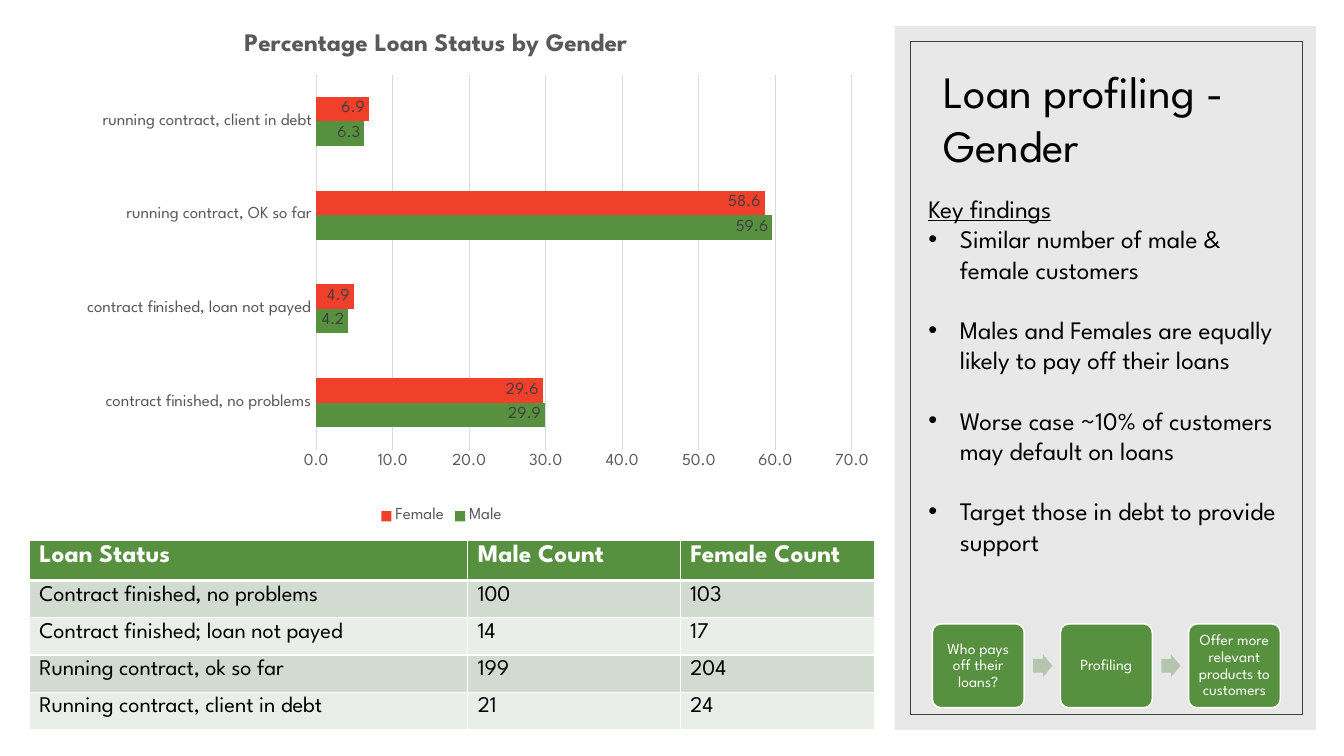
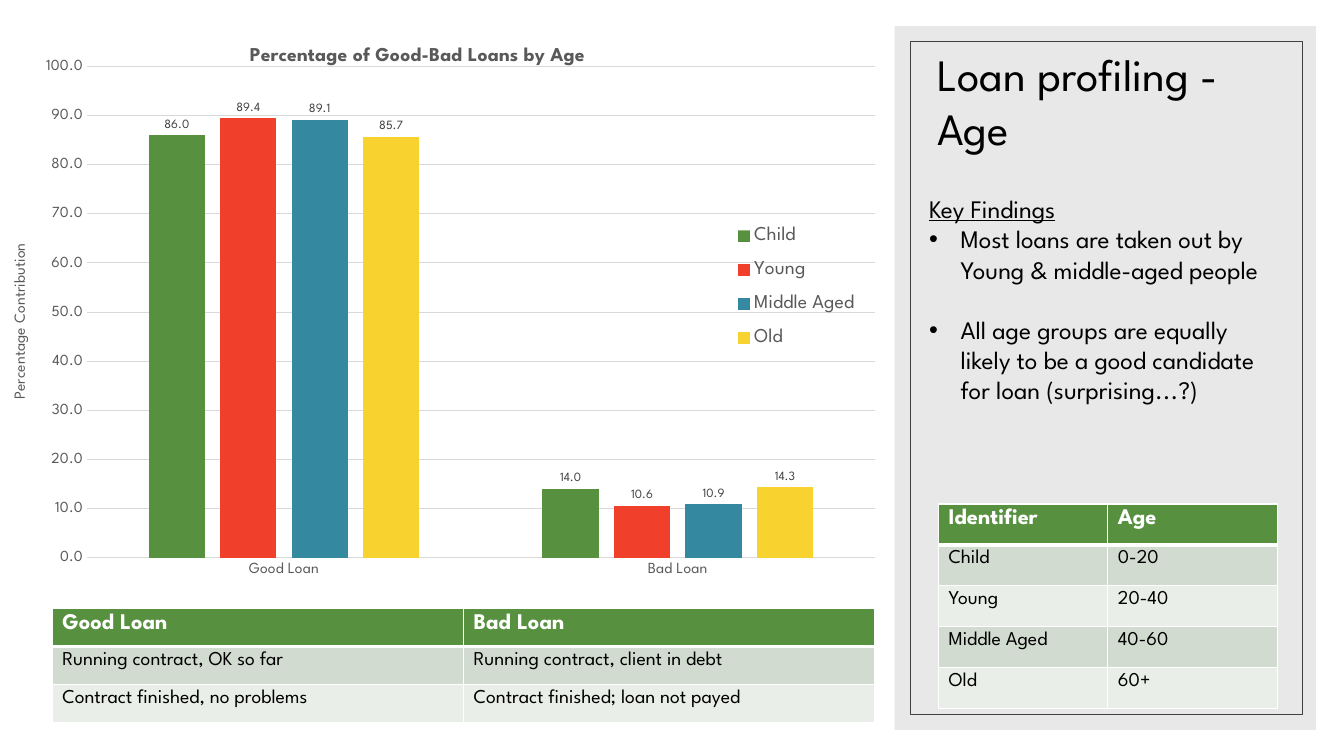
"""Build two loan profiling slides, by gender and by age."""
import pptx
import pptx.chart.data
import pptx.dml.color
import pptx.enum.chart
import pptx.enum.shapes
import pptx.enum.text
import pptx.oxml
import pptx.oxml.ns
import pptx.util
from lxml import etree

Pt = pptx.util.Pt
qn = pptx.oxml.ns.qn
CHART = pptx.enum.chart
SHAPE = pptx.enum.shapes.MSO_SHAPE
ANCHOR = pptx.enum.text.MSO_ANCHOR

FONT = "League Spartan"
COLOURS = {
    "green": "57903F", "red": "F03F2B", "blue": "3488A0", "yellow": "F8D22F",
    "pale green": "B4C6B0", "dark band": "D1DBCF", "light band": "EAEEE8",
    "panel": "D9D9D9", "frame": "404040", "label": "404040", "axis": "595959",
    "grid": "D9D9D9", "black": "000000", "white": "FFFFFF",
}
PANEL = (639, 18.7, 301, 502.6)
FRAME = (650.2, 29.5, 280.1, 481)

SLIDES = [
    {
        "title": ("Loan profiling - Gender", (666.7, 47.5, 247.7, 78.5)),
        "heading": "Key findings",
        "findings_box": (656, 134.6, 275, 334),
        "findings": [
            "Similar number of male & female customers",
            "Males and Females are equally likely to pay off their loans",
            "Worse case ~10% of customers may default on loans",
            "Target those in debt to provide support",
        ],
        "chart": {
            "kind": CHART.XL_CHART_TYPE.BAR_CLUSTERED,
            "box": (2.2, 3.6, 626.4, 373.7),
            "title": ("Percentage Loan Status by Gender", 18, (0.27, 0.04)),
            "categories": ["contract finished, no problems", "contract finished, loan not payed",
                           "running contract, OK so far", "running contract, client in debt"],
            "series": [("Male", "green", (29.9, 4.2, 59.6, 6.3)),
                       ("Female", "red", (29.6, 4.9, 58.6, 6.9))],
            "plot": (0.357, 0.133, 0.611, 0.717),
            "spacing": {"gap_width": 182, "overlap": 0},
            "scale_max": 70,
            "axis_size": 12,
            "labels": (12, CHART.XL_LABEL_POSITION.INSIDE_END),
            "legend": (12, CHART.XL_LEGEND_POSITION.BOTTOM, None),
        },
        "tables": [
            {
                "corner": (20.9, 385.9), "columns": (313.2, 151.9, 139),
                "heights": (28, 26.6), "sizes": (18, 16),
                "rows": [
                    ("Loan Status", "Male Count", "Female Count"),
                    ("Contract finished, no problems", "100", "103"),
                    ("Contract finished; loan not payed", "14", "17"),
                    ("Running contract, ok so far", "199", "204"),
                    ("Running contract, client in debt", "21", "24"),
                ],
            },
        ],
        "steps": ["Who pays off their loans?", "Profiling",
                  "Offer more relevant products to customers"],
    },
    {
        "title": ("Loan profiling - Age", (662.4, 41, 247.7, 72.7)),
        "heading": "Key Findings",
        "findings_box": (656.6, 134.6, 266.4, 203.8),
        "findings": [
            "Most loans are taken out by Young & middle-aged people",
            "All age groups are equally likely to be a good candidate for loan (surprising...?)",
        ],
        "chart": {
            "kind": CHART.XL_CHART_TYPE.COLUMN_CLUSTERED,
            "box": (0, 21.6, 628.6, 416.9),
            "title": ("Percentage of Good-Bad Loans by Age", 14, (0.28, 0.02)),
            "categories": ["Good Loan", "Bad Loan"],
            "series": [("Child", "green", (86, 14)), ("Young", "red", (89.4, 10.6)),
                       ("Middle Aged", "blue", (89.1, 10.9)), ("Old", "yellow", (85.7, 14.3))],
            "plot": (0.099, 0.062, 0.895, 0.842),
            "spacing": {"gap_width": 219, "overlap": -27},
            "scale_max": 100,
            "axis_size": 11,
            "axis_title": ("Percentage Contribution", (0.01, 0.36)),
            "labels": (9, CHART.XL_LABEL_POSITION.OUTSIDE_END),
            "legend": (14, CHART.XL_LEGEND_POSITION.RIGHT, (0.83, 0.31, 0.15, 0.26)),
        },
        "tables": [
            {
                "corner": (37.4, 434.9), "columns": (293.8, 293.8),
                "heights": (27, 27), "sizes": (16, 14),
                "rows": [
                    ("Good Loan", "Bad Loan"),
                    ("Running contract, OK so far", "Running contract, client in debt"),
                    ("Contract finished, no problems", "Contract finished; loan not payed"),
                ],
            },
            {
                "corner": (670.3, 360), "columns": (121, 121),
                "heights": (29.2, 29.2), "sizes": (16, 14),
                "rows": [("Identifier", "Age"), ("Child", "0-20"), ("Young", "20-40"),
                         ("Middle Aged", "40-60"), ("Old", "60+")],
            },
        ],
        "steps": [],
    },
]


def rgb(colour):
    return pptx.dml.color.RGBColor.from_string(COLOURS[colour])


def points(box):
    return [Pt(length) for length in box]


def assign(target, values):
    for name, value in values.items():
        setattr(target, name, value)


def style(font, size, colour, **extras):
    assign(font, {"name": FONT, "size": Pt(size), **extras})
    font.color.rgb = rgb(colour)


def paint(fill, colour):
    fill.solid()
    fill.fore_color.rgb = rgb(colour)


def add_block(slide, preset, box, fill=None, line=None, weight=1):
    block = slide.shapes.add_shape(preset, *points(box))
    block.shadow.inherit = False
    for part, colour in ((block.fill, fill), (block.line.fill, line)):
        if colour:
            paint(part, colour)
        else:
            part.background()
    if line:
        block.line.width = Pt(weight)
    return block


def add_sidebar(slide):
    panel = add_block(slide, SHAPE.RECTANGLE, PANEL, "panel")
    tint = next(panel.fill._xPr.iter(qn("a:srgbClr")))
    etree.SubElement(tint, qn("a:alpha"), val="60000")
    add_block(slide, SHAPE.RECTANGLE, FRAME, line="frame", weight=0.5)


def add_text(slide, box, anchor):
    frame = slide.shapes.add_textbox(*points(box)).text_frame
    assign(frame, {"word_wrap": True, "vertical_anchor": anchor})
    return frame


def add_title(slide, text, box):
    run = add_text(slide, box, ANCHOR.BOTTOM).paragraphs[0].add_run()
    run.text = text
    style(run.font, 32, "black")


def add_findings(slide, heading, findings, box):
    frame = add_text(slide, box, ANCHOR.TOP)
    for index, text in enumerate([heading, *findings]):
        paragraph = frame.add_paragraph() if index else frame.paragraphs[0]
        run = paragraph.add_run()
        run.text = text
        style(run.font, 18, "black", underline=index == 0)
        if index:
            paragraph.space_after = Pt(21.6)
            properties = paragraph._p.get_or_add_pPr()
            properties.set("marL", str(Pt(22.5)))
            properties.set("indent", str(-Pt(22.5)))
            etree.SubElement(properties, qn("a:buFont"), typeface="Arial")
            etree.SubElement(properties, qn("a:buChar"), char="•")


def place(element, index, position, inner=False):
    for old in element.findall(qn("c:layout")):
        element.remove(old)
    layout = element.makeelement(qn("c:layout"))
    element.insert(index, layout)
    manual = etree.SubElement(layout, qn("c:manualLayout"))
    if inner:
        etree.SubElement(manual, qn("c:layoutTarget"), val="inner")
    for mode in ("xMode", "yMode"):
        etree.SubElement(manual, qn(f"c:{mode}"), val="edge")
    for name, value in zip("xywh", position):
        etree.SubElement(manual, qn(f"c:{name}"), val=str(value))


def add_heading(heading, text, size, position, bold):
    run = heading.text_frame.paragraphs[0].add_run()
    run.text = text
    style(run.font, size, "axis", bold=bold)
    place(heading._element, 1, position)


def add_loan_chart(slide, facts):
    data = pptx.chart.data.CategoryChartData(number_format="0.0")
    data.categories = facts["categories"]
    for name, _, values in facts["series"]:
        data.add_series(name, values)
    chart = slide.shapes.add_chart(facts["kind"], *points(facts["box"]), data).chart
    style(chart.font, 10, "black")
    chart.has_title = True
    add_heading(chart.chart_title, *facts["title"], bold=True)

    plot = chart.plots[0]
    assign(plot, {"vary_by_categories": False, "has_data_labels": True, **facts["spacing"]})
    size, position = facts["labels"]
    assign(plot.data_labels, {"show_value": True, "position": position,
                              "number_format": "0.0", "number_format_is_linked": False})
    style(plot.data_labels.font, size, "label")
    for series, (_, colour, _) in zip(plot.series, facts["series"]):
        paint(series.format.fill, colour)

    for axis in (chart.category_axis, chart.value_axis):
        assign(axis, {"major_tick_mark": CHART.XL_TICK_MARK.NONE,
                      "minor_tick_mark": CHART.XL_TICK_MARK.NONE})
        style(axis.tick_labels.font, facts["axis_size"], "axis")
    amounts = chart.value_axis
    assign(amounts, {"minimum_scale": 0, "maximum_scale": facts["scale_max"],
                     "major_unit": 10, "has_major_gridlines": True})
    assign(amounts.tick_labels, {"number_format": "0.0", "number_format_is_linked": False})
    amounts.format.line.fill.background()
    for line in (chart.category_axis.format.line, amounts.major_gridlines.format.line):
        paint(line.fill, "grid")
        line.width = Pt(0.75)
    if "axis_title" in facts:
        text, position = facts["axis_title"]
        add_heading(amounts.axis_title, text, facts["axis_size"], position, bold=False)

    size, position, spot = facts["legend"]
    chart.has_legend = True
    assign(chart.legend, {"position": position, "include_in_layout": False})
    style(chart.legend.font, size, "axis")
    if spot:
        place(chart.legend._element, 1, spot)
    place(next(chart._chartSpace.iter(qn("c:plotArea"))), 0, facts["plot"], inner=True)


def add_borders(cell, bottom):
    properties = cell._tc.get_or_add_tcPr()
    for index, (side, weight) in enumerate((("L", 1), ("R", 1), ("T", 1), ("B", bottom))):
        border = properties.makeelement(qn(f"a:ln{side}"), {"w": str(Pt(weight))})
        properties.insert(index, border)
        ink = etree.SubElement(border, qn("a:solidFill"))
        etree.SubElement(ink, qn("a:srgbClr"), val=COLOURS["white"])


def add_loan_table(slide, corner, columns, heights, sizes, rows):
    row_heights = [heights[min(index, 1)] for index in range(len(rows))]
    box = (*corner, sum(columns), sum(row_heights))
    table = slide.shapes.add_table(len(rows), len(columns), *points(box)).table
    for column, width in zip(table.columns, columns):
        column.width = Pt(width)
    for index, (row, texts) in enumerate(zip(table.rows, rows)):
        header = index == 0
        row.height = Pt(row_heights[index])
        band = "green" if header else "dark band" if index % 2 else "light band"
        for cell, text in zip(row.cells, texts):
            paint(cell.fill, band)
            add_borders(cell, 3 if header else 1)
            run = cell.text_frame.paragraphs[0].add_run()
            run.text = text
            style(run.font, sizes[min(index, 1)], "white" if header else "black", bold=header)


def add_steps(slide, steps, left=666, pitch=91.5):
    for index, text in enumerate(steps):
        start = left + index * pitch
        if index:
            arrow = add_block(slide, SHAPE.RIGHT_ARROW, (start - 19.5, 467.3, 13.7, 16.6), "pale green")
            arrow.adjustments[0] = 0.6
        step = add_block(slide, SHAPE.ROUNDED_RECTANGLE, (start, 445.7, 65.5, 59.8), "green", "white")
        step.adjustments[0] = 0.1
        margins = {f"margin_{side}": Pt(3.6) for side in ("left", "right", "top", "bottom")}
        assign(step.text_frame, {"word_wrap": True, "vertical_anchor": ANCHOR.MIDDLE, **margins})
        paragraph = step.text_frame.paragraphs[0]
        assign(paragraph, {"alignment": pptx.enum.text.PP_ALIGN.CENTER, "line_spacing": 0.9})
        run = paragraph.add_run()
        run.text = text
        style(run.font, 11, "white")


def main():
    deck = pptx.Presentation()
    assign(deck, {"slide_width": Pt(960), "slide_height": Pt(540)})
    for content in SLIDES:
        slide = deck.slides.add_slide(deck.slide_layouts[6])
        add_sidebar(slide)
        add_title(slide, *content["title"])
        add_findings(slide, content["heading"], content["findings"], content["findings_box"])
        add_loan_chart(slide, content["chart"])
        add_steps(slide, content["steps"])
        for table in content["tables"]:
            add_loan_table(slide, **table)
    deck.save("out.pptx")


if __name__ == "__main__":
    main()
